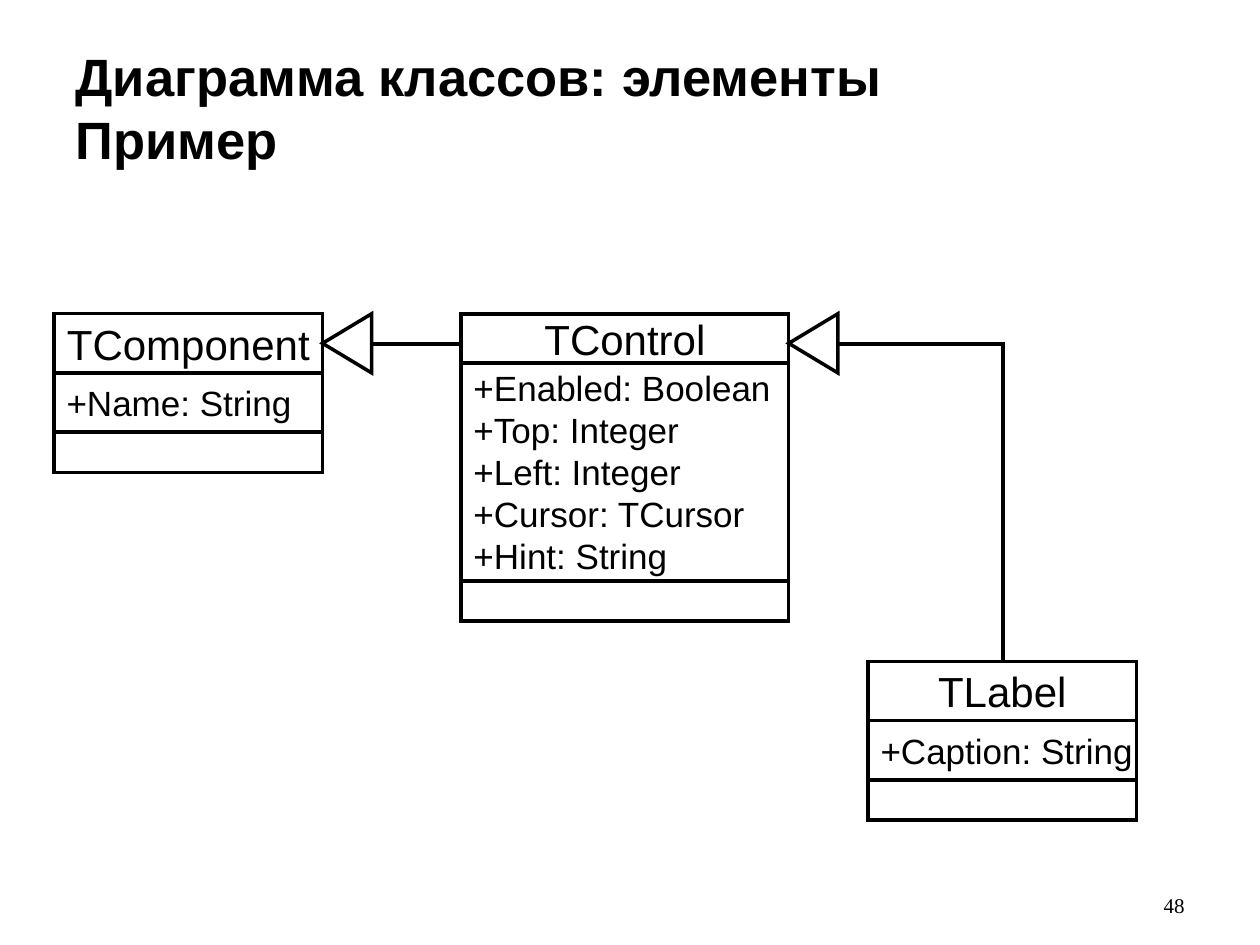
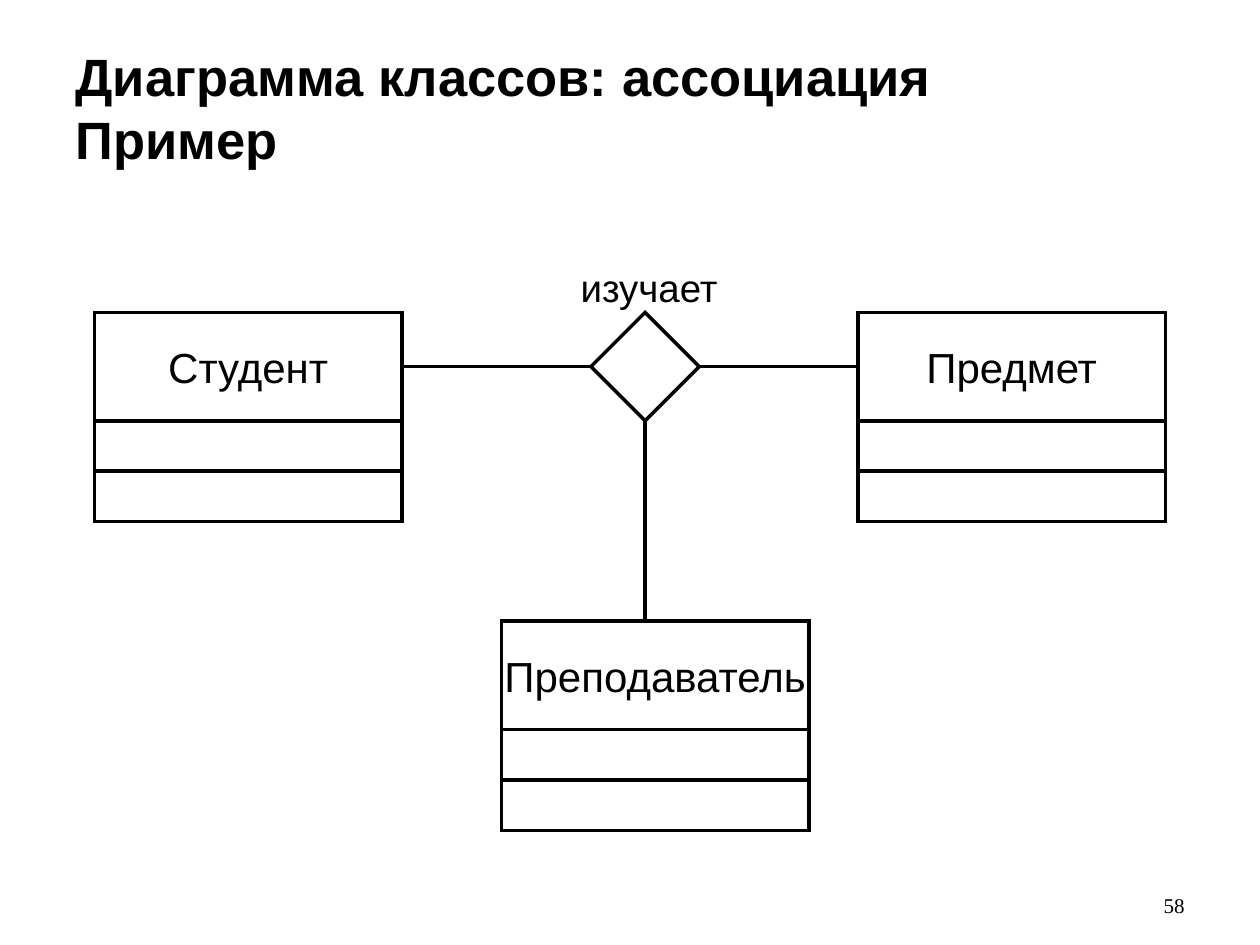
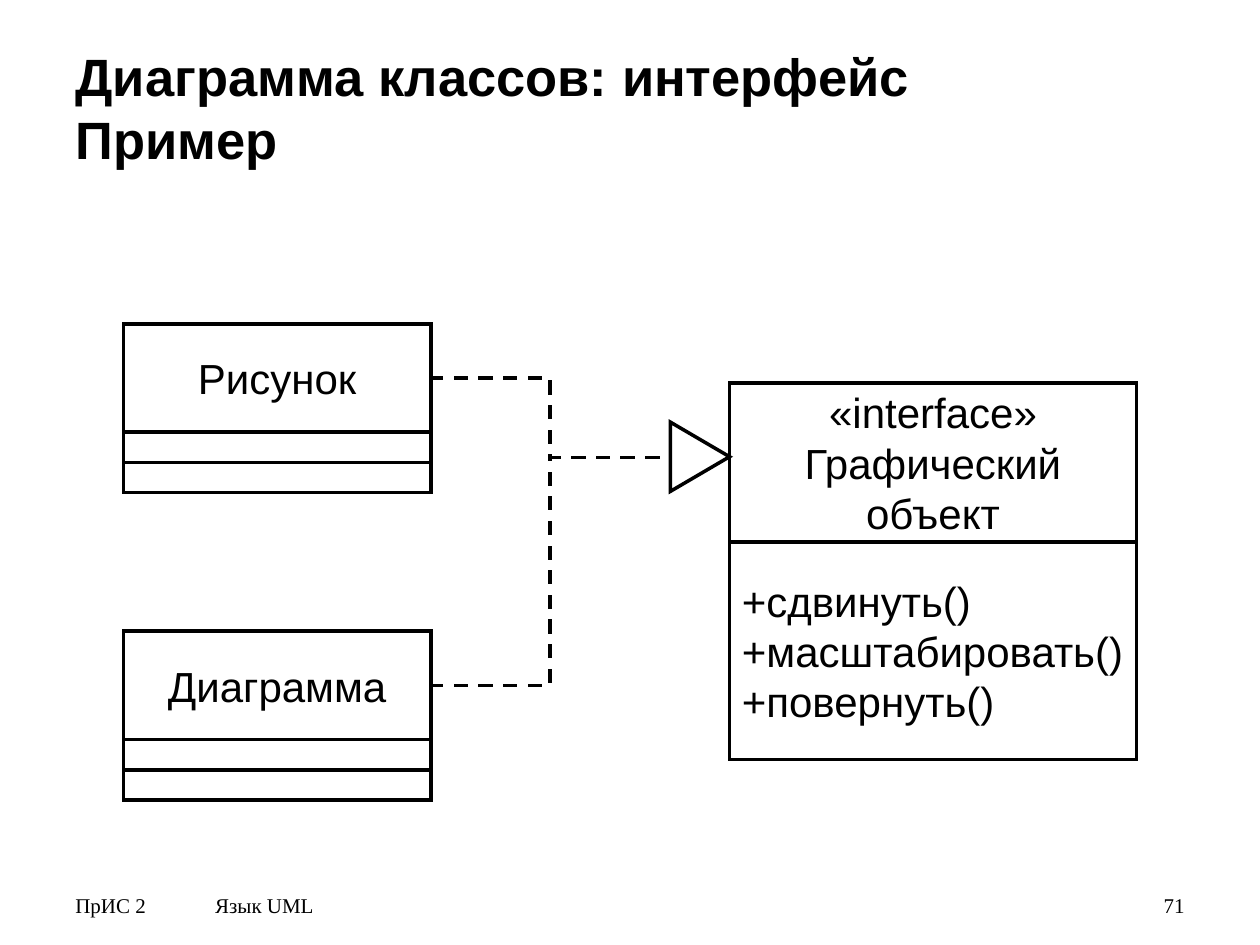
from lxml import etree
from pptx import Presentation
from pptx.dml.color import RGBColor
from pptx.enum.dml import MSO_LINE
from pptx.enum.shapes import MSO_CONNECTOR as Connector, MSO_SHAPE as Shape
from pptx.enum.text import MSO_ANCHOR as Anchor, MSO_AUTO_SIZE as AutoSize, PP_ALIGN as Align
from pptx.oxml.ns import qn
from pptx.util import Inches, Pt

INK = "000000"
LINE_WIDTH = 2
BODY_FONT = "Arial"
FOOTER_FONT = "Times New Roman"
NAME_SIZE = 24
CLASS_WIDTH = 2.44
NAME_HEIGHT = 0.86


def color(value):
    """Turn a hex string into a colour."""
    return RGBColor.from_string(value)


def format_text(text_frame, size, align=Align.LEFT, font=BODY_FONT, bold=False):
    """Give all the text of a frame one look."""
    for paragraph in text_frame.paragraphs:
        paragraph.alignment = align
        for run in paragraph.runs:
            run.font.size = Pt(size)
            run.font.name = font
            run.font.bold = bold
            run.font.color.rgb = color(INK)


def format_line(shape):
    """Draw a line or outline in ink with square corners and ends."""
    shape.line.color.rgb = color(INK)
    shape.line.width = Pt(LINE_WIDTH)
    line = shape._element.spPr.get_or_add_ln()
    line.set("cap", "sq")
    etree.SubElement(line, qn("a:miter")).set("lim", "800000")


def add_outline(slide, kind, left, top, width, height):
    """Add an unfilled preset shape."""
    shape = slide.shapes.add_shape(kind, Inches(left), Inches(top), Inches(width), Inches(height))
    shape.shadow.inherit = False
    shape.fill.background()
    format_line(shape)
    return shape


def add_compartment(slide, left, top, width, height, text, size, align):
    """Add one compartment of a class."""
    box = add_outline(slide, Shape.RECTANGLE, left, top, width, height)
    if text:
        text_frame = box.text_frame
        text_frame.text = text
        text_frame.word_wrap = False
        text_frame.vertical_anchor = Anchor.MIDDLE
        text_frame.margin_top = text_frame.margin_bottom = 0
        format_text(text_frame, size, align)
    return box


def add_class(slide, left, top, width, name, heights, members="", member_size=20):
    """Stack the compartments of a class and return the name compartment."""
    name_box = add_compartment(slide, left, top, width, heights[0], name, NAME_SIZE, Align.CENTER)
    for index, height in enumerate(heights[1:], start=1):
        text = members if index == 1 else ""
        add_compartment(slide, left, top + sum(heights[:index]), width, height,
                        text, member_size, Align.LEFT)
    return name_box


def add_triangle(slide, left, top, width, height, rotation):
    """Add a generalization arrowhead."""
    add_outline(slide, Shape.ISOSCELES_TRIANGLE, left, top, width, height).rotation = rotation


def add_link(slide, begin, end, kind=Connector.STRAIGHT, dashed=False):
    """Add a connector between two points."""
    link = slide.shapes.add_connector(kind, *map(Inches, begin + end))
    format_line(link)
    if dashed:
        link.line.dash_style = MSO_LINE.DASH
    etree.SubElement(link._element.spPr, qn("a:effectLst"))
    return link


def add_label(slide, left, top, width, height, text, size):
    """Add a one-line text box."""
    label = slide.shapes.add_textbox(Inches(left), Inches(top), Inches(width), Inches(height))
    label.text_frame.text = text
    label.text_frame.word_wrap = False
    format_text(label.text_frame, size)
    return label


def add_footer(slide, left, width, text, align=Align.LEFT):
    """Add a footer entry at the bottom of the slide."""
    footer = add_label(slide, left, 6.83, width, 0.5, text, 12)
    footer.text_frame.word_wrap = True
    footer.text_frame.vertical_anchor = Anchor.BOTTOM
    format_text(footer.text_frame, 12, align, FOOTER_FONT)


def add_slide(presentation, topic, number):
    """Add a slide with its title and number."""
    slide = presentation.slides.add_slide(presentation.slide_layouts[5])
    title = slide.shapes.title
    title.left, title.top, title.width, title.height = map(Inches, (0.5, 0.3, 9, 1.25))
    text_frame = title.text_frame
    text_frame.text = f"Диаграмма классов: {topic}\vПример"
    text_frame.vertical_anchor = Anchor.TOP
    text_frame.auto_size = AutoSize.NONE
    format_text(text_frame, 30, bold=True)
    add_footer(slide, 8.94, 0.56, str(number), Align.RIGHT)
    return slide


def build_elements(presentation):
    """Show a chain of inherited classes."""
    slide = add_slide(presentation, "элементы", 48)
    small_heights = (0.47, 0.47, 0.32)
    add_class(slide, 0.43, 2.49, 2.13, "TComponent", small_heights, "+Name: String")
    add_class(slide, 3.66, 2.49, 2.6, "TControl", (0.39, 1.73, 0.32),
              "+Enabled: Boolean\n+Top: Integer\n+Left: Integer\n+Cursor: TCursor\n+Hint: String")
    add_class(slide, 6.89, 5.25, 2.13, "TLabel", small_heights, "+Caption: String")
    for left in (2.52, 6.22):
        add_triangle(slide, left, 2.53, 0.47, 0.39, 270)
    add_link(slide, (2.95, 2.73), (3.66, 2.73))
    corner = add_link(slide, (6.65, 2.73), (7.96, 5.25), Connector.ELBOW)
    corner._element.spPr.find(qn("a:prstGeom")).set("prst", "bentConnector2")


def build_association(presentation):
    """Show three classes joined by one association."""
    slide = add_slide(presentation, "ассоциация", 58)
    heights = (NAME_HEIGHT, 0.4, 0.4)
    student, subject, _ = [
        add_class(slide, left, top, CLASS_WIDTH, name, heights)
        for left, top, name in (
            (0.75, 2.48, "Студент"),
            (6.81, 2.48, "Предмет"),
            (3.98, 4.93, "Преподаватель"),
        )
    ]
    diamond = add_outline(slide, Shape.DIAMOND, 4.69, 2.48, 0.86, NAME_HEIGHT)
    to_subject = add_link(slide, (5.55, 2.91), (6.81, 2.91))
    to_subject.begin_connect(diamond, 3)
    to_subject.end_connect(subject, 1)
    to_student = add_link(slide, (4.69, 2.91), (3.19, 2.91))
    to_student.begin_connect(diamond, 1)
    to_student.end_connect(student, 3)
    to_teacher = add_link(slide, (5.12, 3.34), (5.12, 4.93))
    to_teacher.begin_connect(diamond, 2)
    add_label(slide, 4.51, 2.05, 1.3, 0.47, "изучает", 22)


def build_interface(presentation):
    """Show two classes that realize an interface."""
    slide = add_slide(presentation, "интерфейс", 71)
    add_footer(slide, 0.5, 0.96, "ПрИС 2")
    add_footer(slide, 1.61, 7.24, "Язык UML")
    add_class(slide, 5.79, 3.04, 3.23, "«interface»\nГрафический\nобъект", (1.26, 1.73),
              "+сдвинуть()\n+масштабировать()\n+повернуть()", NAME_SIZE)
    add_triangle(slide, 5.28, 3.39, 0.55, 0.47, 90)
    for name, top in (("Рисунок", 2.57), ("Диаграмма", 5.01)):
        add_class(slide, 0.98, top, CLASS_WIDTH, name, (NAME_HEIGHT, 0.24, 0.24))
        add_link(slide, (3.42, top + NAME_HEIGHT / 2), (5.31, 3.63), Connector.ELBOW, dashed=True)


def main():
    """Build and save the presentation."""
    presentation = Presentation()
    presentation.slide_width = Inches(10)
    presentation.slide_height = Inches(7.5)
    build_elements(presentation)
    build_association(presentation)
    build_interface(presentation)
    presentation.save("out.pptx")


if __name__ == "__main__":
    main()
